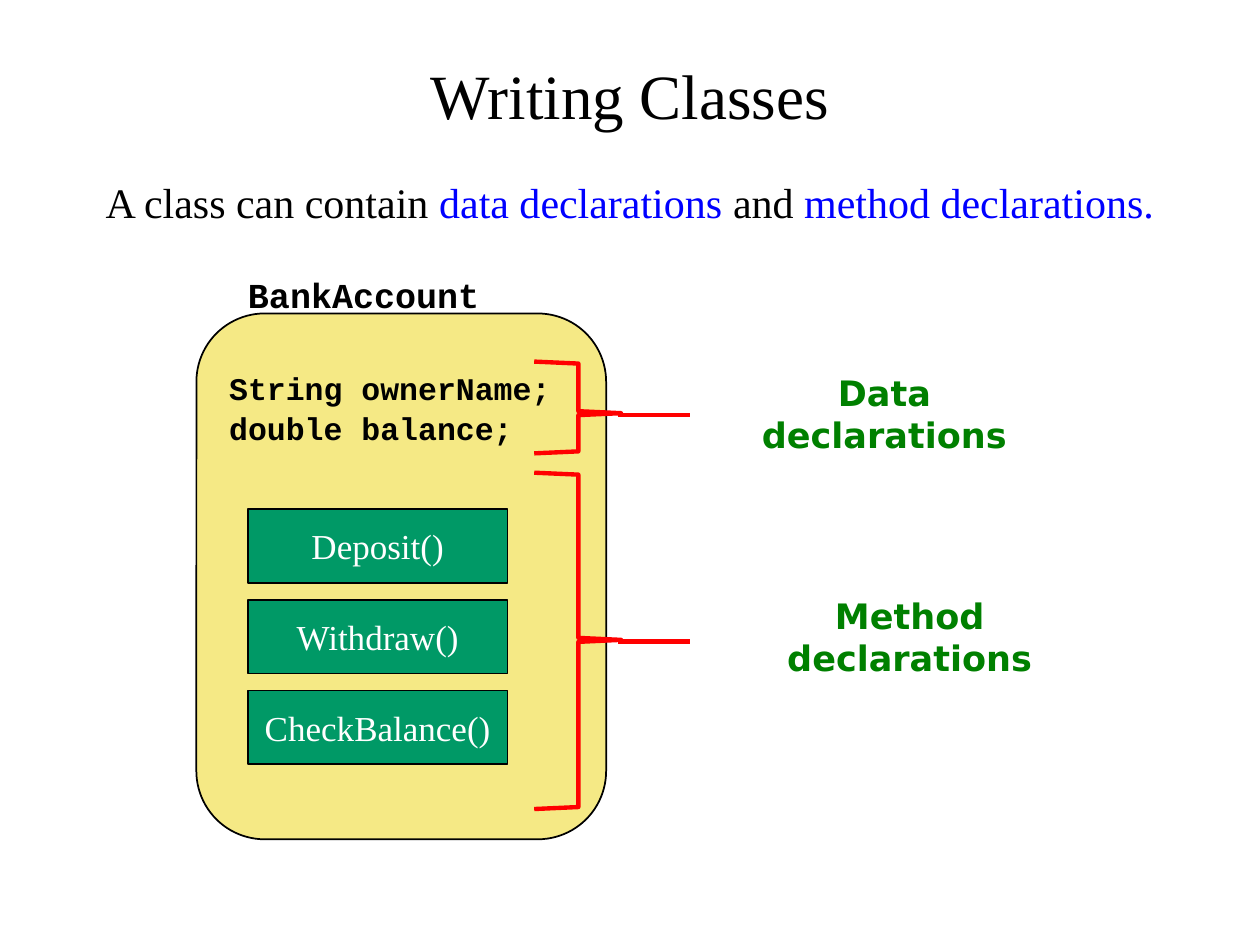
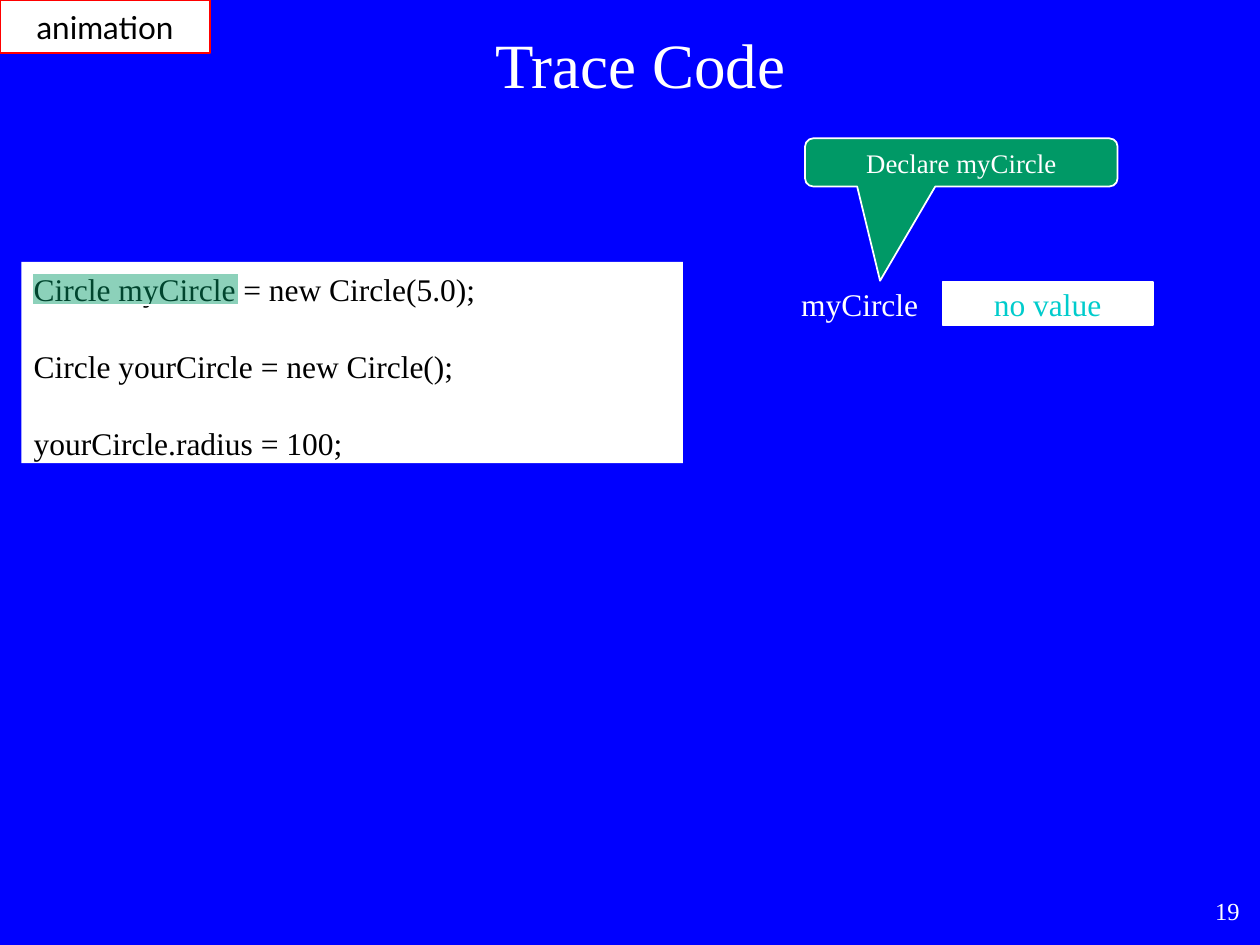
from lxml import etree
from pptx import Presentation
from pptx.dml.color import RGBColor
from pptx.enum.shapes import MSO_CONNECTOR, MSO_SHAPE
from pptx.enum.text import MSO_ANCHOR, PP_ALIGN
from pptx.oxml.ns import qn
from pptx.util import Cm, Pt

COLORS = {
    "black": "000000", "white": "FFFFFF", "blue": "0000FF", "red": "FF0000",
    "sand": "F5E985", "method": "009966", "label": "008000", "value": "00CCCC",
}
SERIF, MONO, SANS, TAG = "Times New Roman", "Courier New", "DejaVu Sans", "Lato"
LEFT, CENTER, RIGHT = PP_ALIGN.LEFT, PP_ALIGN.CENTER, PP_ALIGN.RIGHT


def rgb(name):
    return RGBColor.from_string(COLORS[name])


def set_text(s, lines, size, color, font=SERIF, bold=False, align=CENTER,
             anchor=MSO_ANCHOR.MIDDLE, wrap=True, spacing=None, gap=0):
    """Fill a shape with paragraphs; gap is the space between them in points."""
    tf = s.text_frame
    tf.word_wrap = wrap
    tf.vertical_anchor = anchor
    tf.text = "\n".join(lines)
    for i, p in enumerate(tf.paragraphs):
        p.alignment = align
        p.line_spacing = spacing
        p.space_before = Pt(gap if i else 0)
        p.font.size = Pt(size)
        p.font.name = font
        p.font.bold = bold
        p.font.color.rgb = rgb(color)


def add_slide(prs, title, box, background, color):
    slide = prs.slides.add_slide(prs.slide_layouts[5])
    slide.background.fill.solid()
    slide.background.fill.fore_color.rgb = rgb(background)
    s = slide.shapes.title
    s.left, s.top, s.width, s.height = map(Cm, box)
    set_text(s, [title], 36, color)
    return slide


def add_box(slide, kind, box, fill, line=None):
    s = slide.shapes.add_shape(kind, *map(Cm, box))
    s.shadow.inherit = False
    s.fill.solid()
    s.fill.fore_color.rgb = rgb(fill)
    if line:
        s.line.color.rgb = rgb(line)
        s.line.width = Pt(1)
    else:
        s.line.fill.background()
    return s


def add_label(slide, box, text, size, color, **style):
    s = slide.shapes.add_textbox(*map(Cm, box))
    set_text(s, [text], size, color, **style)
    return s


def add_bracket(slide, top, middle, bottom):
    """Draw a red bracket with a small tip pointing right at middle."""
    left, spine, tip, bend = 10.77, 11.66, 12.52, 0.04
    points = [(spine, top + bend), (spine, middle - bend), (tip, middle),
              (spine, middle + bend), (spine, bottom - bend), (left, bottom)]
    builder = slide.shapes.build_freeform(Cm(left), Cm(top))
    builder.add_line_segments([(Cm(x), Cm(y)) for x, y in points], close=False)
    s = builder.convert_to_shape()
    s.shadow.inherit = False
    s.fill.background()
    s.line.color.rgb = rgb("red")
    s.line.width = Pt(2.5)


def add_pointer(slide, y):
    s = slide.shapes.add_connector(
        MSO_CONNECTOR.STRAIGHT, Cm(13.9), Cm(y), Cm(12.46), Cm(y))
    s.line.color.rgb = rgb("red")
    s.line.width = Pt(2.5)
    etree.SubElement(s._element.spPr, qn("a:effectLst"))


def set_opacity(s, percent):
    color = s._element.spPr.find(qn("a:solidFill")).find(qn("a:srgbClr"))
    etree.SubElement(color, qn("a:alpha"), val=str(percent * 1000))


def add_sentence(slide, box, parts, size):
    """Add one paragraph whose parts are (text, color) pairs."""
    tf = slide.shapes.add_textbox(*map(Cm, box)).text_frame
    tf.word_wrap = True
    p = tf.paragraphs[0]
    p.font.size = Pt(size)
    p.font.name = SERIF
    for text, color in parts:
        r = p.add_run()
        r.text = text
        r.font.color.rgb = rgb(color)


def build_writing_classes(prs):
    slide = add_slide(prs, "Writing Classes", (1.9, 0.79, 21.6, 2.21),
                      "white", "black")
    add_sentence(slide, (1.88, 3.43, 22.56, 1.3), [
        ("A class can contain ", "black"), ("data declarations ", "blue"),
        ("and ", "black"), ("method declarations.", "blue")], 24)
    add_label(slide, (4.75, 5.38, 6, 1), "BankAccount", 20, "black",
              font=MONO, bold=True, align=LEFT, anchor=MSO_ANCHOR.TOP)

    add_box(slide, MSO_SHAPE.FLOWCHART_ALTERNATE_PROCESS,
            (3.96, 6.32, 8.26, 10.6), "sand", "black")
    fields = add_box(slide, MSO_SHAPE.RECTANGLE, (4.37, 7.32, 6.99, 1.78), "sand")
    set_text(fields, ["String ownerName;", "double balance;"], 18, "black",
             font=MONO, bold=True, align=LEFT, wrap=False, spacing=1.06)
    for i, name in enumerate(["Deposit()", "Withdraw()", "CheckBalance()"]):
        method = add_box(slide, MSO_SHAPE.RECTANGLE,
                         (5, 10.26 + 1.83 * i, 5.23, 1.49), "method", "black")
        set_text(method, [name], 20, "white", wrap=False)

    for text, box, (top, middle, bottom) in [
        ("Data declarations", (14.45, 7.77, 6.76, 1.12), (7.29, 8.33, 9.14)),
        ("Method declarations", (14.43, 12.27, 7.82, 1.12), (9.53, 12.9, 16.31)),
    ]:
        add_bracket(slide, top, middle, bottom)
        add_pointer(slide, middle + 0.03)
        add_label(slide, box, text, 20, "label", font=SANS, bold=True)


def build_trace_code(prs):
    slide = add_slide(prs, "Trace Code", (2.11, 0.43, 21.6, 1.7), "blue", "white")
    add_label(slide, (19.96, 17.73, 5.28, 1.27), "19", 14, "white", align=RIGHT)

    code = add_box(slide, MSO_SHAPE.RECTANGLE, (0.43, 5.28, 13.34, 4.06), "white")
    set_text(code, ["Circle myCircle = new Circle(5.0);",
                    "Circle yourCircle = new Circle();",
                    "yourCircle.radius = 100;"], 18, "black", align=LEFT,
             anchor=MSO_ANCHOR.TOP, spacing=1.04, gap=21.6)
    highlight = add_box(slide, MSO_SHAPE.RECTANGLE, (0.64, 5.51, 4.17, 0.64),
                        "method", "white")
    set_opacity(highlight, 45)

    callout = add_box(slide, MSO_SHAPE.ROUNDED_RECTANGULAR_CALLOUT,
                      (16.23, 2.79, 6.3, 0.97), "method", "white")
    for i, value in enumerate([-0.26, 2.46, 0.17]):
        callout.adjustments[i] = value
    set_text(callout, ["Declare myCircle"], 15.3, "white", anchor=MSO_ANCHOR.TOP)

    value = add_box(slide, MSO_SHAPE.RECTANGLE, (19, 5.69, 4.24, 0.86),
                    "white", "white")
    set_text(value, ["no value"], 18, "value", wrap=False)
    tf = value.text_frame
    tf.margin_left = tf.margin_right = tf.margin_top = tf.margin_bottom = Cm(0.03)
    add_label(slide, (15.9, 5.63, 3.15, 1.02), "myCircle", 18, "white",
              align=LEFT, anchor=MSO_ANCHOR.TOP)

    tag = add_box(slide, MSO_SHAPE.RECTANGLE, (0, 0, 4.24, 1.07), "white", "red")
    set_text(tag, ["animation"], 18, "black", font=TAG, wrap=False)


def main():
    prs = Presentation()
    prs.slide_width, prs.slide_height = Cm(25.4), Cm(19.05)
    build_writing_classes(prs)
    build_trace_code(prs)
    prs.save("out.pptx")


if __name__ == "__main__":
    main()
